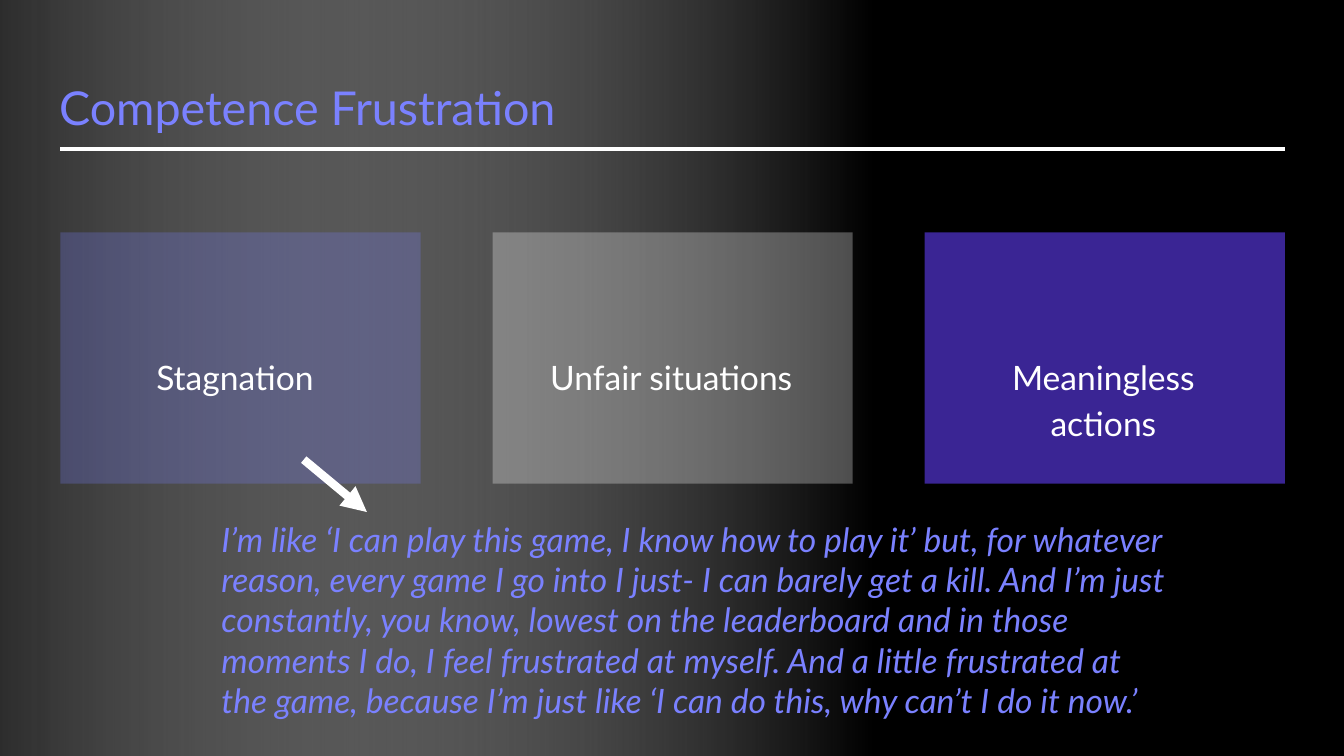
from pptx import Presentation
from pptx.dml.color import RGBColor
from pptx.enum.shapes import MSO_CONNECTOR, MSO_SHAPE
from pptx.enum.text import MSO_ANCHOR, MSO_AUTO_SIZE, PP_ALIGN
from pptx.oxml.ns import qn
from pptx.util import Inches, Pt
from lxml import etree

WHITE = RGBColor(0xFF, 0xFF, 0xFF)
BLACK = RGBColor(0, 0, 0)
GREY = RGBColor(0x2C, 0x2C, 0x2C)
LILAC = RGBColor(0x7A, 0x81, 0xFF)
VIOLET = RGBColor(0x64, 0x41, 0xFF)
FONT = "Lato"
WIDE = 10
HIGH = WIDE * 9 / 16

QUOTE = (
    "I’m like ‘I can play this game, I know how to play it’ but, for whatever "
    "reason, every game I go into I just- I can barely get a kill. And I’m just "
    "constantly, you know, lowest on the leaderboard and in those moments I do, "
    "I feel frustrated at myself. And a little frustrated at the game, because "
    "I’m just like ‘I can do this, why can’t I do it now.’"
)


def place(box):
    return [Inches(v) for v in box]


def write(shape, text, size=18, color=WHITE, align=PP_ALIGN.LEFT,
          italic=False, pad=0.1, space=1.0):
    frame = shape.text_frame
    frame.auto_size = MSO_AUTO_SIZE.NONE
    frame.word_wrap = True
    frame.vertical_anchor = MSO_ANCHOR.TOP
    frame.margin_left = frame.margin_right = Inches(0.1)
    frame.margin_top = frame.margin_bottom = Inches(pad)
    para = frame.paragraphs[0]
    para.alignment = align
    para.line_spacing = space
    run = para.add_run()
    run.text = text
    font = run.font
    font.name, font.size, font.italic = FONT, Pt(size), italic
    font.color.rgb = color


def fade(shape, alpha):
    """Set the opacity, in percent, of the last colour of the fill."""
    last = list(shape._element.spPr.iter(qn("a:srgbClr")))[-1]
    etree.SubElement(last, qn("a:alpha")).set("val", str(alpha * 1000))


def panel(slide, box):
    shape = slide.shapes.add_shape(MSO_SHAPE.RECTANGLE, *place(box))
    shape.shadow.inherit = False
    shape.line.fill.background()
    return shape


def fill(shape, color):
    shape.fill.solid()
    shape.fill.fore_color.rgb = color


def line(slide, ends, width, arrow=False):
    link = slide.shapes.add_connector(MSO_CONNECTOR.STRAIGHT, *place(ends))
    link.line.color.rgb = WHITE
    link.line.width = Pt(width)
    if arrow:
        tip = etree.SubElement(link.line._get_or_add_ln(), qn("a:tailEnd"))
        tip.set("type", "triangle")
    etree.SubElement(link._element.spPr, qn("a:effectLst"))


def backdrop(slide):
    fill(panel(slide, (0, 0, WIDE, HIGH)), GREY)
    # Glow from black on the right to clear white on the left
    glow = panel(slide, (0, -0.02, WIDE, 5.79))
    glow.rotation = 180
    glow.fill.gradient()
    glow.fill.gradient_angle = 0
    stops = glow.fill.gradient_stops
    for stop, color, pos in zip(stops, (BLACK, WHITE), (0.35, 1)):
        stop.color.rgb = color
        stop.position = pos
    fade(glow, 0)


def header(slide, box, text):
    x, y, w, h = box
    title = slide.shapes.title
    title.left, title.top, title.width, title.height = place(box)
    write(title, text, size=25, color=LILAC)
    # Rule under the title
    line(slide, (x + 0.11, y + 0.62, x + w - 0.1, y + 0.62), 2.25)


def card(slide, box, text, color, alpha, span):
    x, y, w, h = box
    back = panel(slide, box)
    fill(back, color)
    fade(back, alpha)
    # Label centred across the card, a touch to the left
    spot = (x + (w - span) / 2 - 0.01, y + 0.78, span, 2.09)
    label = slide.shapes.add_textbox(*place(spot))
    write(label, text, align=PP_ALIGN.CENTER, space=1.15)


def cards(slide, box):
    x, y, w, h = box
    items = [
        ("Stagnation ", LILAC, 26, 2.39),
        ("Unfair situations", WHITE, 29, 2.29),
        ("Meaningless actions", VIOLET, 58, 2.11),
    ]
    wide = 2.68
    step = (w - wide) / (len(items) - 1)
    for i, item in enumerate(items):
        card(slide, (x + i * step, y, wide, h), *item)


def quote(slide, box, text):
    x, y, w, h = box
    note = slide.shapes.add_textbox(*place(box))
    write(note, text, color=LILAC, italic=True, pad=0.05)
    # Arrow from the first card to the quote
    line(slide, (x + 0.71, y - 0.39, x + 1.18, y), 4.5, arrow=True)


def main():
    deck = Presentation()
    deck.slide_width, deck.slide_height = Inches(WIDE), Inches(HIGH)
    slide = deck.slides.add_slide(deck.slide_layouts[5])
    backdrop(slide)
    # Bring the title in front of the backdrop
    slide.shapes._spTree.append(slide.shapes.title._element)
    header(slide, (0.34, 0.49, 9.32, 0.63), "Competence Frustration")
    cards(slide, (0.45, 1.73, 9.11, 1.87))
    quote(slide, (1.55, 3.81, 7.23, 1.62), QUOTE)
    deck.save("out.pptx")


if __name__ == "__main__":
    main()
